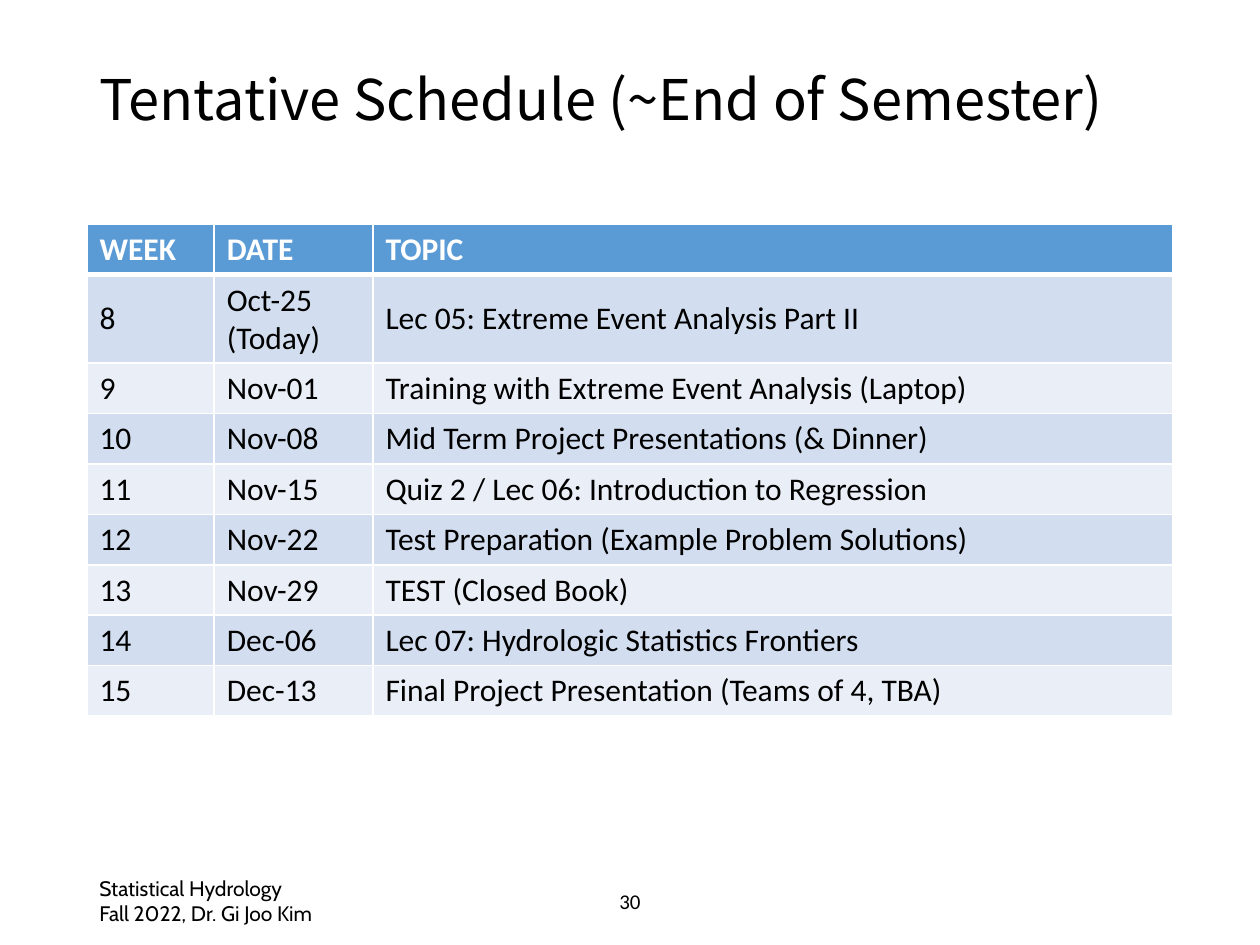
from lxml import etree
from pptx import Presentation
from pptx.dml.color import RGBColor
from pptx.enum.text import MSO_ANCHOR as Anchor, PP_ALIGN as Align
from pptx.oxml.ns import qn
from pptx.util import Inches, Pt

BLACK, WHITE = "000000", "FFFFFF"
HEADER_FILL, BAND_FILLS = "5B9BD5", ("D2DEEF", "EAEFF7")
LEFT, CONTENT_WIDTH = 0.69, 8.62
COLUMN_WIDTHS = (1.01, 1.26, 6.35)
ROW_HEIGHT = 0.4

SCHEDULE = [
    ("WEEK", "DATE", "TOPIC"),
    ("8", "Oct-25\n(Today)", "Lec 05: Extreme Event Analysis Part II"),
    ("9", "Nov-01", "Training with Extreme Event Analysis (Laptop)"),
    ("10", "Nov-08", "Mid Term Project Presentations (& Dinner)"),
    ("11", "Nov-15", "Quiz 2 / Lec 06: Introduction to Regression"),
    ("12", "Nov-22", "Test Preparation (Example Problem Solutions)"),
    ("13", "Nov-29", "TEST (Closed Book)"),
    ("14", "Dec-06", "Lec 07: Hydrologic Statistics Frontiers"),
    ("15", "Dec-13", "Final Project Presentation (Teams of 4, TBA)"),
]


def color(value):
    return RGBColor.from_string(value)


def write_text(frame, text, font="Calibri", size=18, fill=BLACK, bold=False,
               align=Align.LEFT, line_spacing=None):
    """Fill a text frame, one paragraph for each line of text."""
    frame.word_wrap = True
    frame.text = text
    for paragraph in frame.paragraphs:
        paragraph.alignment = align
        if line_spacing:
            paragraph.line_spacing = line_spacing
        for run in paragraph.runs:
            run.font.name = font
            run.font.size = Pt(size)
            run.font.bold = bold
            run.font.color.rgb = color(fill)


def add_text(slide, left, top, width, height, text, **text_format):
    shape = slide.shapes.add_textbox(Inches(left), Inches(top),
                                     Inches(width), Inches(height))
    shape.text_frame.vertical_anchor = Anchor.MIDDLE
    write_text(shape.text_frame, text, **text_format)


def set_borders(cell, **widths):
    """Draw white cell borders; widths are points by side (L, R, T, B)."""
    properties = cell._tc.get_or_add_tcPr()
    for side, width in widths.items():
        line = etree.SubElement(properties, qn(f"a:ln{side}"), w=str(Pt(width)))
        fill = etree.SubElement(line, qn("a:solidFill"))
        etree.SubElement(fill, qn("a:srgbClr"), val=WHITE)


def add_schedule(slide, left, top, width):
    frame = slide.shapes.add_table(
        len(SCHEDULE), len(COLUMN_WIDTHS), Inches(left), Inches(top),
        Inches(width), Inches(ROW_HEIGHT * len(SCHEDULE)))
    table = frame.table
    for column, column_width in zip(table.columns, COLUMN_WIDTHS):
        column.width = Inches(column_width)
    for row_index, values in enumerate(SCHEDULE):
        table.rows[row_index].height = Inches(ROW_HEIGHT)
        header = row_index == 0
        fill = HEADER_FILL if header else BAND_FILLS[(row_index - 1) % 2]
        for column_index, value in enumerate(values):
            cell = table.cell(row_index, column_index)
            cell.vertical_anchor = Anchor.MIDDLE
            # A thick rule parts the header from the body
            set_borders(cell, L=1, R=1, T=3 if row_index == 1 else 1,
                        B=3 if header else 1)
            cell.fill.solid()
            cell.fill.fore_color.rgb = color(fill)
            write_text(cell.text_frame, value, bold=header,
                       fill=WHITE if header else BLACK)


def add_footer(slide, left, top, width, height):
    # Course name at the left, page number in the middle
    add_text(slide, left, top, 2.97, height,
             "Statistical Hydrology\nFall 2022, Dr. Gi Joo Kim",
             font="Cabin", size=12)
    number_width = 2.25
    add_text(slide, left + (width - number_width) / 2, top, number_width,
             height, "30", size=12, align=Align.CENTER)


def main():
    presentation = Presentation()
    presentation.slide_width = Inches(10)
    presentation.slide_height = Inches(7.5)
    slide = presentation.slides.add_slide(presentation.slide_layouts[6])

    # Title
    add_text(slide, LEFT, 0.4, CONTENT_WIDTH, 0.83,
             "Tentative Schedule (~End of Semester)",
             font="Noto Sans CJK KR", size=32, line_spacing=0.9)
    add_schedule(slide, LEFT, 1.78, CONTENT_WIDTH)
    add_footer(slide, LEFT, 6.95, CONTENT_WIDTH, 0.4)
    presentation.save("out.pptx")


if __name__ == "__main__":
    main()
